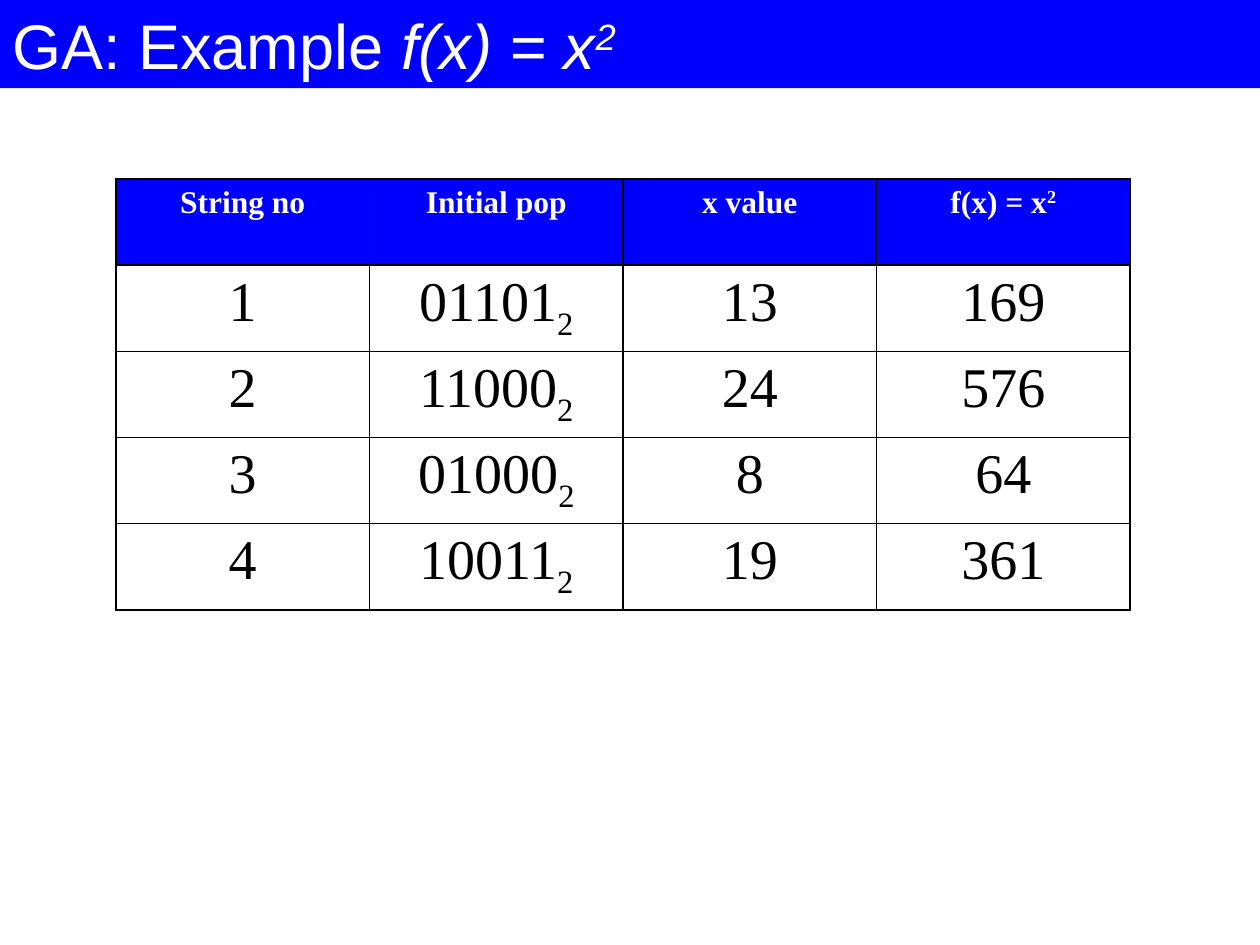
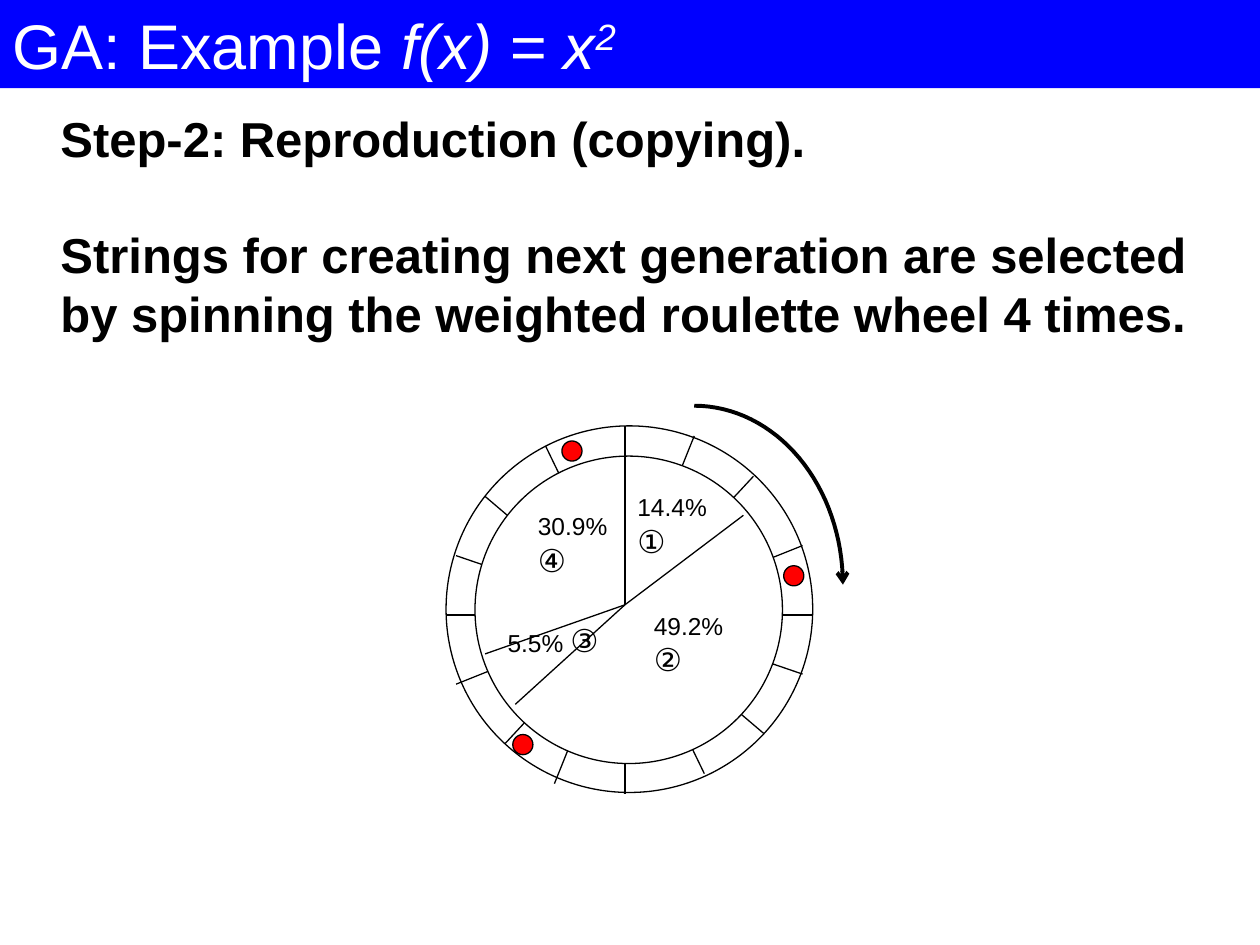
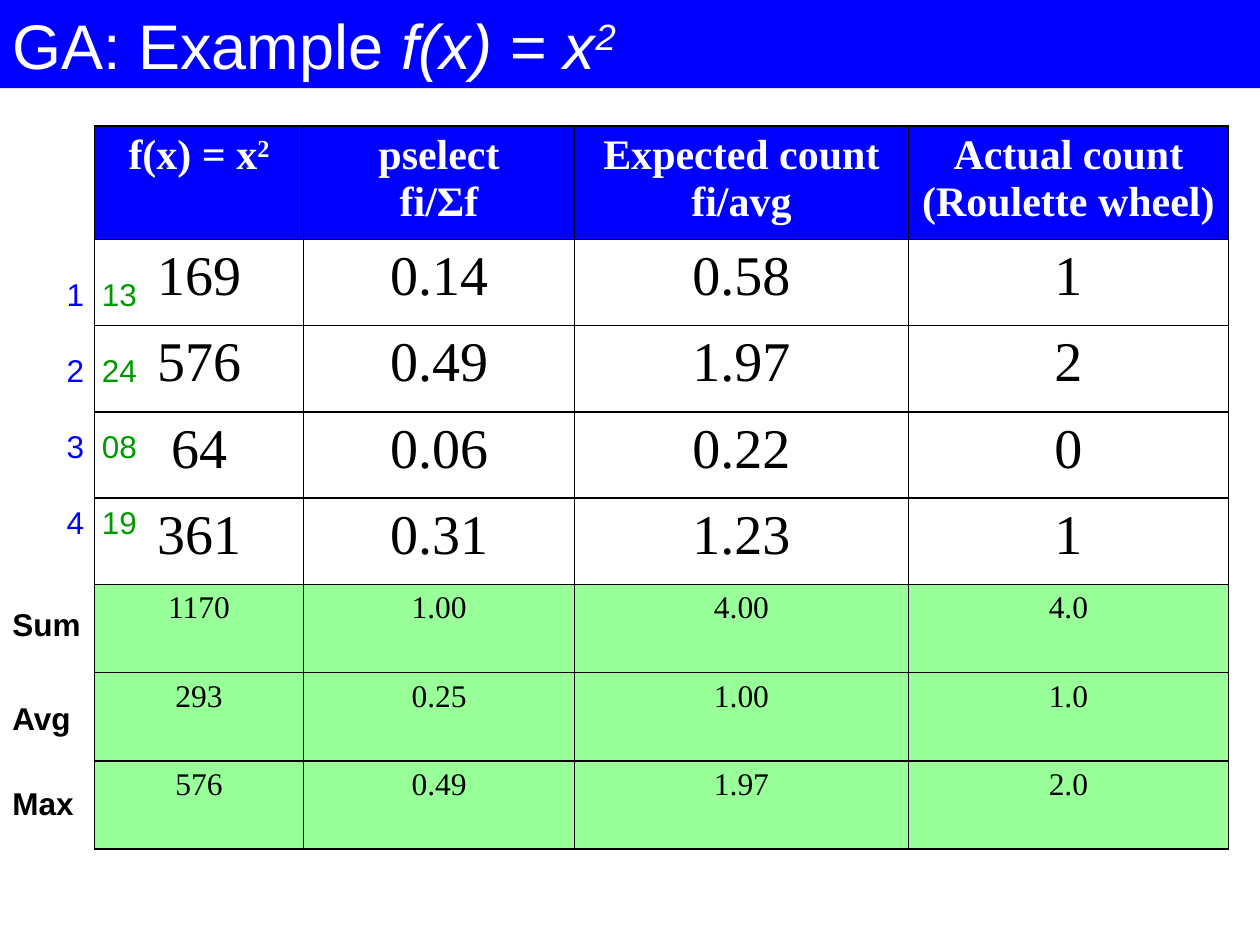
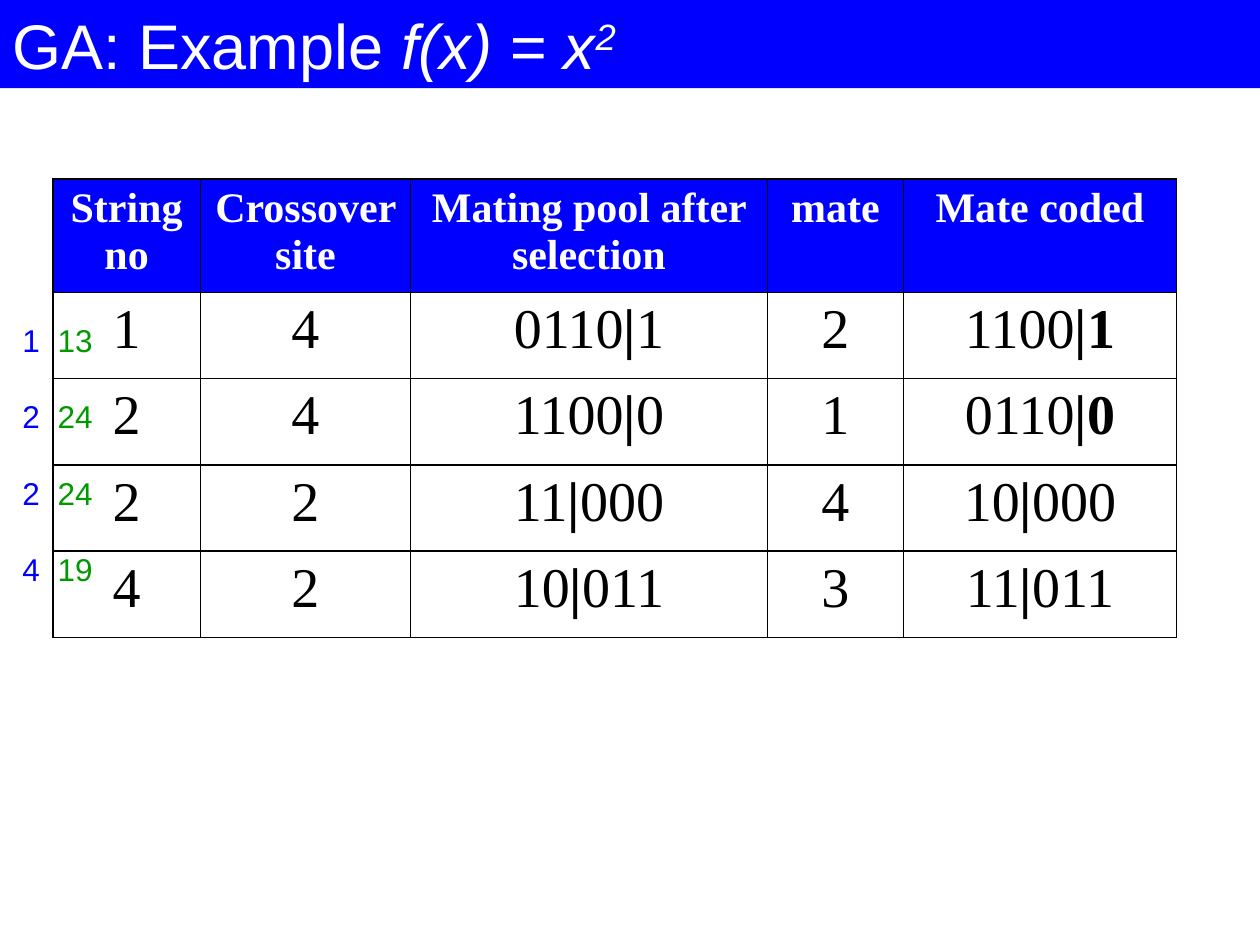
from math import cos, pi, sin

from lxml.etree import SubElement
from pptx import Presentation
from pptx.dml.color import RGBColor
from pptx.enum.shapes import MSO_CONNECTOR, MSO_SHAPE
from pptx.enum.text import MSO_ANCHOR, MSO_AUTO_SIZE, PP_ALIGN
from pptx.oxml import parse_xml
from pptx.oxml.ns import nsdecls, qn
from pptx.util import Inches, Pt

# ---- Shared style ----
BLUE, GREEN, PALE_GREEN = "0000FF", "009900", "99FF99"
BLACK, WHITE, RED = "000000", "FFFFFF", "FF0000"
SANS, SERIF = "Arial", "Times New Roman"
TITLE_ONLY, TITLE_AND_BODY = 5, 1

SQUARED = ("2", {"baseline": 30})
BASE_TWO = ("2", {"baseline": -25})
TITLE = ["GA: Example ", ("f(x) = x", {"italic": True}),
         ("2", {"italic": True, "baseline": 30})]
FUNCTION = [["f(x) = x", SQUARED]]


def cut(bits, bold_tail=False):
    """Bits with the crossover bar in bold, and the tail too if wanted."""
    head, bar, tail = bits.partition("|")
    return [[head, (bar, {"bold": True}), (tail, {"bold": bold_tail})]]


# ---- Content: a table cell is a list of paragraphs, a paragraph a list of runs ----
POPULATION = [("1", "01101", "13", "169"), ("2", "11000", "24", "576"),
              ("3", "01000", "8", "64"), ("4", "10011", "19", "361")]
POPULATION_ROWS = [["String no", "Initial pop", "x value", FUNCTION]] + [
    [number, [[bits, BASE_TWO]], x, fx] for number, bits, x, fx in POPULATION]

STEP = ["Step-2: Reproduction (copying).",
        "Strings for creating next generation are selected by spinning "
        "the weighted roulette wheel 4 times."]

RIM, HUB = (3.54, 3.38, 2.91), (3.77, 3.62, 2.44)  # left, top, diameter
SPOKES = [(3.54, 4.88, 6.45, 4.88), (4.96, 3.38, 4.96, 6.3),
          (5.98, 3.78, 4.01, 5.9), (3.85, 3.94, 6.06, 5.82),
          (5.59, 6.14, 4.33, 3.54), (3.62, 5.43, 6.37, 4.33),
          (4.4, 6.22, 5.51, 3.46), (6.37, 5.35, 3.62, 4.41)]
WHEEL_CENTRE = (4.96, 4.8)
SECTOR_ENDS = [(4.96, 3.62), (3.85, 5.19), (4.09, 5.59), (5.9, 4.09)]
SECTORS = [("49.2%", "②", 5.09, 4.8), ("14.4%", "①", 4.96, 3.86),
           ("30.9%", "④", 4.17, 4.01)]
SMALL_SECTOR = ("5.5% ", "③", 3.93, 4.88)
BALLS = [(6.22, 4.49), (4.07, 5.83), (4.46, 3.5)]
SPIN = {"centre": (5.51, 4.64), "radii": (1.18, 1.42), "steps": 32}

SELECTION_ROWS = [
    [FUNCTION, ["pselect", "fi/Σf"], ["Expected count", "fi/avg"],
     ["Actual count", "(Roulette wheel)"]],
    ["169", "0.14", "0.58", "1"],
    ["576", "0.49", "1.97", "2"],
    ["64", "0.06", "0.22", "0"],
    ["361", "0.31", "1.23", "1"],
    ["1170", "1.00", "4.00", "4.0"],
    ["293", "0.25", "1.00", "1.0"],
    ["576", "0.49", "1.97", "2.0"],
]
SUMMARY_LABELS = [("Sum", 4.75, 0.74), ("Avg", 5.5, 0.67), ("Max", 6.17, 0.69)]
SELECTION_KEYS = [("1", "13"), ("2", "24"), ("3", "08"), ("4", "19")]

CROSSOVER_ROWS = [
    ["String no", "Crossover site", "Mating pool after selection", "mate", "Mate coded"],
    ["1", "4", cut("0110|1"), "2", cut("1100|1", bold_tail=True)],
    ["2", "4", cut("1100|0"), "1", cut("0110|0", bold_tail=True)],
    ["2", "2", cut("11|000"), "4", cut("10|000")],
    ["4", "2", cut("10|011"), "3", cut("11|011")],
]
CROSSOVER_KEYS = [("1", "13"), ("2", "24"), ("2", "24"), ("4", "19")]


# ---- Helpers ----
def rgb(value):
    return RGBColor.from_string(value)


def inches(*values):
    return [Inches(value) for value in values]


def write(frame, paragraphs, size=18, font=SANS, color=BLACK, bold=False,
          align=PP_ALIGN.LEFT, gap=0):
    """Fill a text frame; a run is a string or (string, changed format)."""
    if isinstance(paragraphs, str):
        paragraphs = [paragraphs]
    for index, runs in enumerate(paragraphs):
        paragraph = frame.add_paragraph() if index else frame.paragraphs[0]
        paragraph.alignment = align
        paragraph.space_before = Pt(gap if index else 0)
        for part in [runs] if isinstance(runs, str) else runs:
            words, changes = (part, {}) if isinstance(part, str) else part
            run = paragraph.add_run()
            run.text = words
            run.font.name = font
            run.font.size = Pt(changes.get("size", size))
            run.font.bold = changes.get("bold", bold)
            run.font.italic = changes.get("italic", False)
            run.font.color.rgb = rgb(changes.get("color", color))
            if "baseline" in changes:
                run._r.get_or_add_rPr().set("baseline", str(changes["baseline"] * 1000))


def add_label(shapes, paragraphs, left, top, width, height, wrap=False, **style):
    box = shapes.add_textbox(*inches(left, top, width, height))
    box.text_frame.word_wrap = wrap
    write(box.text_frame, paragraphs, **style)
    return box


def add_circle(shapes, left, top, diameter, fill):
    circle = shapes.add_shape(MSO_SHAPE.OVAL, *inches(left, top, diameter, diameter))
    circle.shadow.inherit = False
    circle.fill.solid()
    circle.fill.fore_color.rgb = rgb(fill)
    circle.line.color.rgb = rgb(BLACK)
    circle.line.width = Pt(0.75)


def add_line(shapes, *ends):
    line = shapes.add_connector(MSO_CONNECTOR.STRAIGHT, *inches(*ends))
    line.line.color.rgb = rgb(BLACK)
    line.line.width = Pt(0.75)
    SubElement(line._element.spPr, qn("a:effectLst"))


def add_borders(cell):
    properties = cell._tc.get_or_add_tcPr()
    for index, side in enumerate(("lnL", "lnR", "lnT", "lnB")):
        properties.insert(index, parse_xml(
            f'<a:{side} {nsdecls("a")} w="12700"><a:solidFill>'
            f'<a:srgbClr val="{BLACK}"/></a:solidFill></a:{side}>'))


def add_grid(slide, rows, left, top, widths, heights, head_size, summary_from=None):
    """Blue header, plain body, and pale green rows from summary_from on."""
    frame = slide.shapes.add_table(len(rows), len(widths),
                                   *inches(left, top, sum(widths), sum(heights)))
    table = frame.table
    table.first_row = table.horz_banding = False
    for column, width in zip(table.columns, widths):
        column.width = Inches(width)
    for index, (row, height) in enumerate(zip(table.rows, heights)):
        row.height = Inches(height)
        if index == 0:
            fill, style = BLUE, {"size": head_size, "color": WHITE, "bold": True}
        elif summary_from and index >= summary_from:
            fill, style = PALE_GREEN, {"size": 18}
        else:
            fill, style = None, {"size": 32}
        for cell, content in zip(row.cells, rows[index]):
            if fill:
                cell.fill.solid()
                cell.fill.fore_color.rgb = rgb(fill)
            else:
                cell.fill.background()
            add_borders(cell)
            write(cell.text_frame, content, font=SERIF, align=PP_ALIGN.CENTER, **style)


def add_keys(slide, keys, left, top):
    """String numbers in blue with their x values in green, at a tab stop."""
    paragraphs = [[(number + "\t", {"color": BLUE}), (x, {"color": GREEN})]
                  for number, x in keys]
    box = add_label(slide.shapes, paragraphs, left, top, 0.76, 2.2, wrap=True, gap=22)
    box.text_frame.margin_right = 0
    for paragraph in box.text_frame.paragraphs:
        stops = SubElement(paragraph._p.get_or_add_pPr(), qn("a:tabLst"))
        SubElement(stops, qn("a:tab"), pos=str(Inches(0.28)), algn="l")


def add_slide(deck, layout=TITLE_ONLY):
    slide = deck.slides.add_slide(deck.slide_layouts[layout])
    title = slide.shapes.title
    title.left, title.top, title.width, title.height = inches(0, 0, 10, 0.7)
    title.fill.solid()
    title.fill.fore_color.rgb = rgb(BLUE)
    title.text_frame.vertical_anchor = MSO_ANCHOR.TOP
    title.text_frame.auto_size = MSO_AUTO_SIZE.NONE
    write(title.text_frame, [TITLE], size=36, color=WHITE)
    return slide


# ---- Slides ----
def population_slide(deck):
    add_grid(add_slide(deck), POPULATION_ROWS, 0.92, 1.42,
             [8.05 / 4] * 4, [3.42 / 5] * 5, head_size=18)


def add_step(slide):
    step = slide.placeholders[1]
    step.left, step.top, step.width, step.height = inches(0.38, 0.81, 9.26, 1.97)
    step.text_frame.auto_size = MSO_AUTO_SIZE.NONE
    write(step.text_frame, STEP, size=28, bold=True, gap=33)
    for paragraph in step.text_frame.paragraphs:
        properties = paragraph._p.get_or_add_pPr()
        properties.set("marL", "0")
        properties.set("indent", "0")
        SubElement(properties, qn("a:buNone"))


def add_wheel(slide):
    wheel = slide.shapes.add_group_shape().shapes
    add_circle(wheel, *RIM, WHITE)
    for spoke in SPOKES:
        add_line(wheel, *spoke)
    add_circle(wheel, *HUB, WHITE)
    for end in SECTOR_ENDS:
        add_line(wheel, *WHEEL_CENTRE, *end)
    for share, number, left, top in SECTORS:
        add_label(wheel, [share, [(number, {"size": 18})]], left, top, 0.75, 0.63, size=14)
    share, number, left, top = SMALL_SECTOR
    add_label(wheel, [[share, (number, {"size": 18})]], left, top, 1.34, 0.4,
              wrap=True, size=14)


def add_spin_arrow(slide):
    (x, y), (across, down), steps = SPIN["centre"], SPIN["radii"], SPIN["steps"]
    angles = [pi / 2 * step / steps for step in range(steps + 1)]
    points = [inches(x + across * sin(angle), y - down * cos(angle)) for angle in angles]
    outline = slide.shapes.build_freeform(*points[0])
    outline.add_line_segments(points[1:], close=False)
    arrow = outline.convert_to_shape()
    arrow.shadow.inherit = False
    arrow.fill.background()
    arrow.line.color.rgb = rgb(BLACK)
    arrow.line.width = Pt(2.25)
    SubElement(arrow.line._get_or_add_ln(), qn("a:tailEnd"), type="arrow")


def roulette_slide(deck):
    slide = add_slide(deck, TITLE_AND_BODY)
    add_step(slide)
    add_wheel(slide)
    add_spin_arrow(slide)
    for left, top in BALLS:
        add_circle(slide.shapes, left, top, 0.16, RED)


def selection_slide(deck):
    slide = add_slide(deck)
    add_grid(slide, SELECTION_ROWS, 0.75, 1, [1.66, 2.15, 2.65, 2.54],
             [0.9] + [0.685] * 4 + [0.7] * 3, head_size=24, summary_from=5)
    for label, top, width in SUMMARY_LABELS:
        add_label(slide.shapes, label, 0, top, width, 0.4, bold=True)
    add_keys(slide, SELECTION_KEYS, 0.43, 2.13)


def crossover_slide(deck):
    slide = add_slide(deck)
    add_grid(slide, CROSSOVER_ROWS, 0.42, 1.42, [1.17, 1.67, 2.83, 1.08, 2.17],
             [0.9] + [2.74 / 4] * 4, head_size=24)
    add_keys(slide, CROSSOVER_KEYS, 0.08, 2.5)


def main():
    deck = Presentation()
    deck.slide_width, deck.slide_height = inches(10, 7.5)
    for build in (population_slide, roulette_slide, selection_slide, crossover_slide):
        build(deck)
    deck.save("out.pptx")


if __name__ == "__main__":
    main()
